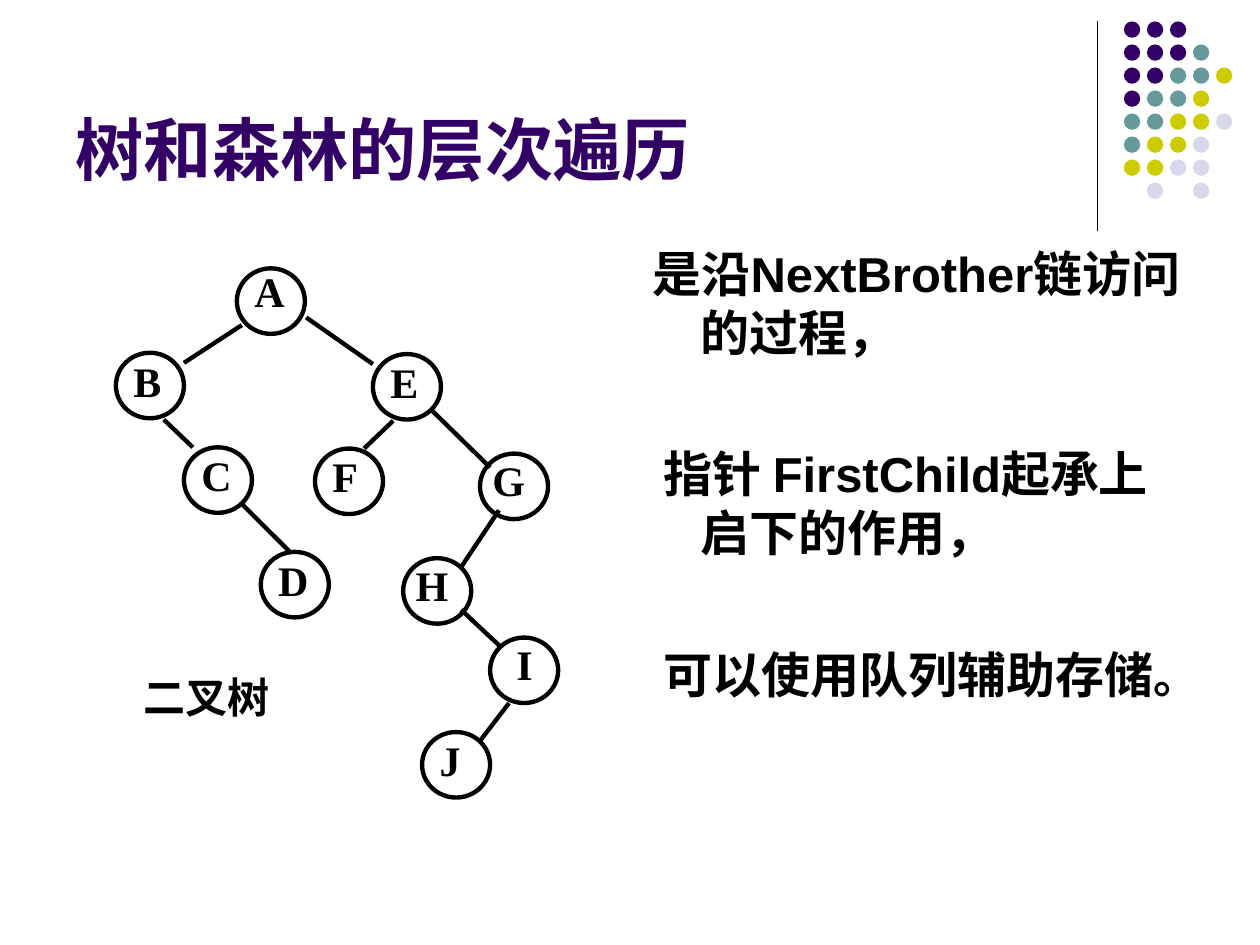
from lxml.etree import SubElement
from pptx import Presentation
from pptx.dml.color import RGBColor
from pptx.enum.shapes import MSO_CONNECTOR, MSO_SHAPE
from pptx.enum.text import MSO_ANCHOR, MSO_AUTO_SIZE, PP_ALIGN
from pptx.oxml.ns import qn
from pptx.util import Inches, Pt

COLORS = {"purple": "330066", "teal": "669999", "olive": "CCCC00",
          "pale": "D8D8EC", "black": "000000"}
SANS, SERIF = "Arial", "Times New Roman"

TITLE = "树和森林的层次遍历"
# Each paragraph is a list of (text, size) runs.
BODY = [
    [("是沿NextBrother链访问的过程，", 28)],
    [(" 指针 FirstChild起承上启下的作用，", 28)],
    [(" 可以使用队列辅助存储", 28), ("。", 26)],
]
CAPTION = "二叉树"

# Dot colours by row, one letter per column.
DOTS = ["PPP", "PPPT", "PPTTO", "PTTO", "TTOOL", "TOOL", "OOLL", " L L"]
DOT_KEYS = {"P": "purple", "T": "teal", "O": "olive", "L": "pale"}
DOT_LEFT, DOT_TOP, DOT_STEP, DOT_SIZE = 8.92, 0.17, 0.18, 0.13

# Left and top of each node's circle.
NODES = {
    "A": (1.88, 2.13), "B": (0.92, 2.8), "C": (1.46, 3.55),
    "D": (2.07, 4.38), "E": (2.96, 2.81), "F": (2.5, 3.56),
    "G": (3.81, 3.6), "H": (3.2, 4.43), "I": (3.89, 5.06),
    "J": (3.35, 5.81),
}
NODE_W, NODE_H = 0.54, 0.52
SHIFT = (0.04, -0.07)
SHIFTS = {"G": (0, -0.04), "H": (0, -0.08), "I": (0.11, -0.08)}
TIGHT = "AG"  # labels with single line spacing

EDGES = [
    (1.92, 2.58, 1.46, 2.88), (2.43, 2.52, 2.96, 2.89),
    (1.3, 3.33, 1.53, 3.55), (1.92, 4, 2.3, 4.38),
    (3.12, 3.34, 2.89, 3.56), (3.43, 3.26, 3.89, 3.71),
    (3.96, 4.05, 3.66, 4.5), (3.66, 4.84, 3.97, 5.13),
    (4.04, 5.58, 3.81, 5.88),
]


def paint(color, key):
    color.rgb = RGBColor.from_string(COLORS[key])


def add_run(para, text, size, font, key="black"):
    run = para.add_run()
    run.text = text
    run.font.size = Pt(size)
    run.font.name = font
    run.font.bold = True
    paint(run.font.color, key)


def place(shape, *box):
    shape.left, shape.top, shape.width, shape.height = map(Inches, box)


def add_line(slide, ends, width):
    line = slide.shapes.add_connector(MSO_CONNECTOR.STRAIGHT,
                                      *map(Inches, ends))
    paint(line.line.color, "black")
    line.line.width = Pt(width)
    SubElement(line._element.spPr, qn("a:effectLst"))


def add_oval(slide, box, fill=None):
    """Add a filled dot, or an outlined circle if no fill is given."""
    oval = slide.shapes.add_shape(MSO_SHAPE.OVAL, *map(Inches, box))
    oval.shadow.inherit = False
    if fill:
        oval.fill.solid()
        paint(oval.fill.fore_color, fill)
        oval.line.fill.background()
    else:
        oval.fill.background()
        paint(oval.line.color, "black")
        oval.line.width = Pt(2.5)


def add_label(slide, text, box, spacing=1.0):
    frame = slide.shapes.add_textbox(*map(Inches, box)).text_frame
    frame.word_wrap = True
    para = frame.paragraphs[0]
    para.line_spacing = spacing
    add_run(para, text, 24, SERIF)


def add_dots(slide):
    add_line(slide, (8.71, 0.17, 8.71, 1.83), 0.75)
    for row, keys in enumerate(DOTS):
        for col, key in enumerate(keys):
            if key in DOT_KEYS:
                add_oval(slide, (DOT_LEFT + col * DOT_STEP * 1.015,
                                 DOT_TOP + row * DOT_STEP * 1.015,
                                 DOT_SIZE, DOT_SIZE), DOT_KEYS[key])


def fill_title(title):
    place(title, 0.5, 0.13, 8.25, 1.42)
    frame = title.text_frame
    frame.auto_size = MSO_AUTO_SIZE.NONE
    frame.vertical_anchor = MSO_ANCHOR.BOTTOM
    para = frame.paragraphs[0]
    para.alignment = PP_ALIGN.LEFT
    add_run(para, TITLE, 39, SANS, "purple")


def fill_body(body):
    place(body, 5.08, 1.88, 4.42, 4.82)
    frame = body.text_frame
    frame.auto_size = MSO_AUTO_SIZE.NONE
    for i, runs in enumerate(BODY):
        para = frame.add_paragraph() if i else frame.paragraphs[0]
        props = para._p.get_or_add_pPr()
        props.set("marL", str(Inches(0.38)))
        props.set("indent", str(Inches(-0.38)))
        SubElement(props, qn("a:buNone"))
        para.space_before = Pt(47.5 if i else 0)
        for text, size in runs:
            add_run(para, text, size, SANS)


def add_tree(slide):
    for name, (left, top) in NODES.items():
        add_oval(slide, (left, top, NODE_W, NODE_H))
        dx, dy = SHIFTS.get(name, SHIFT)
        tight = name in TIGHT
        add_label(slide, name,
                  (left + dx, top + dy, NODE_W, 0.5 if tight else 0.54),
                  1.0 if tight else 1.1)
    for ends in EDGES:
        add_line(slide, ends, 2.5)
    add_label(slide, CAPTION, (1.04, 5.28, 1.69, 0.5))


def main():
    deck = Presentation()
    deck.slide_width, deck.slide_height = Inches(10), Inches(7.5)
    slide = deck.slides.add_slide(deck.slide_layouts[1])
    add_dots(slide)
    fill_title(slide.shapes.title)
    fill_body(slide.placeholders[1])
    add_tree(slide)
    deck.save("out.pptx")


if __name__ == "__main__":
    main()
